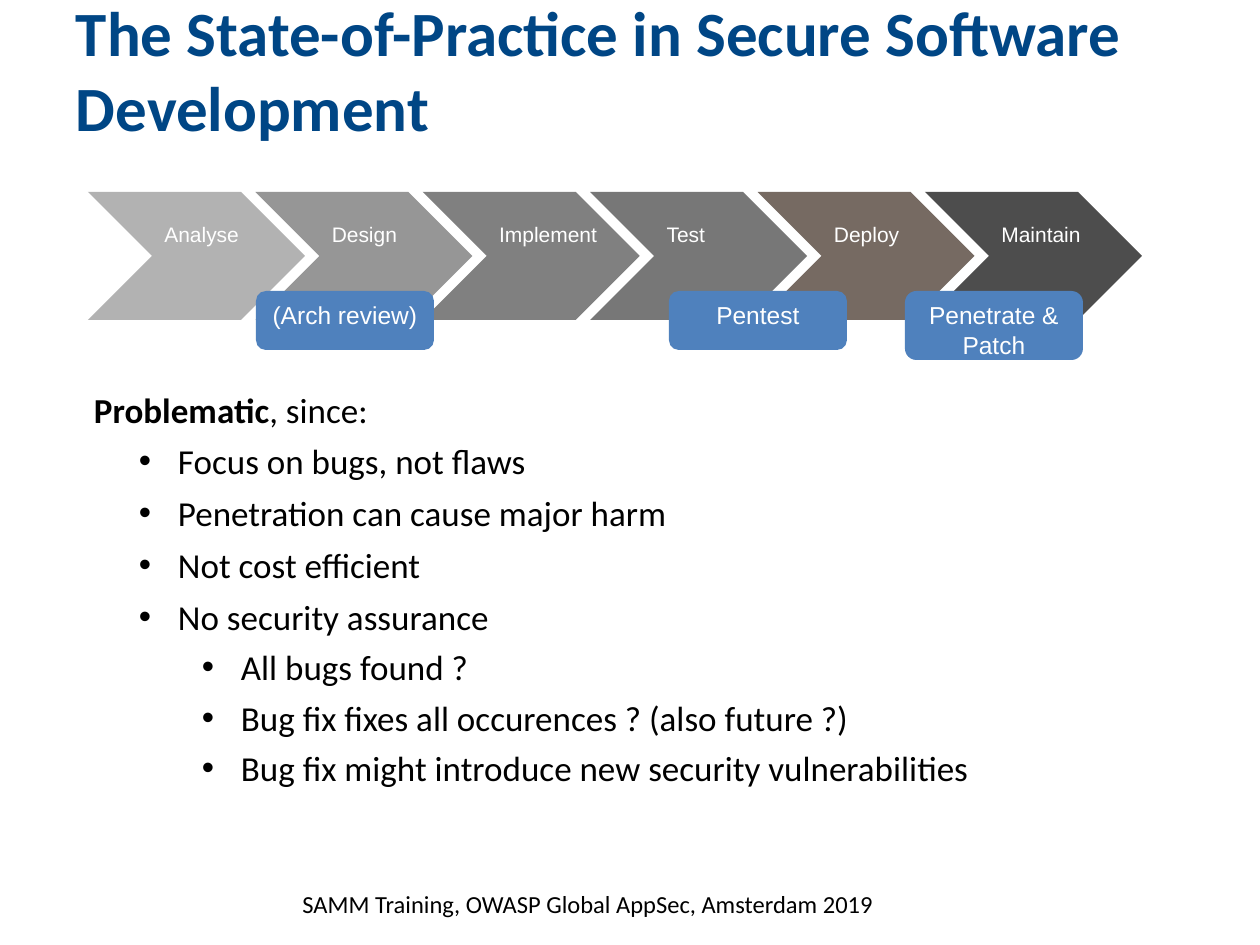
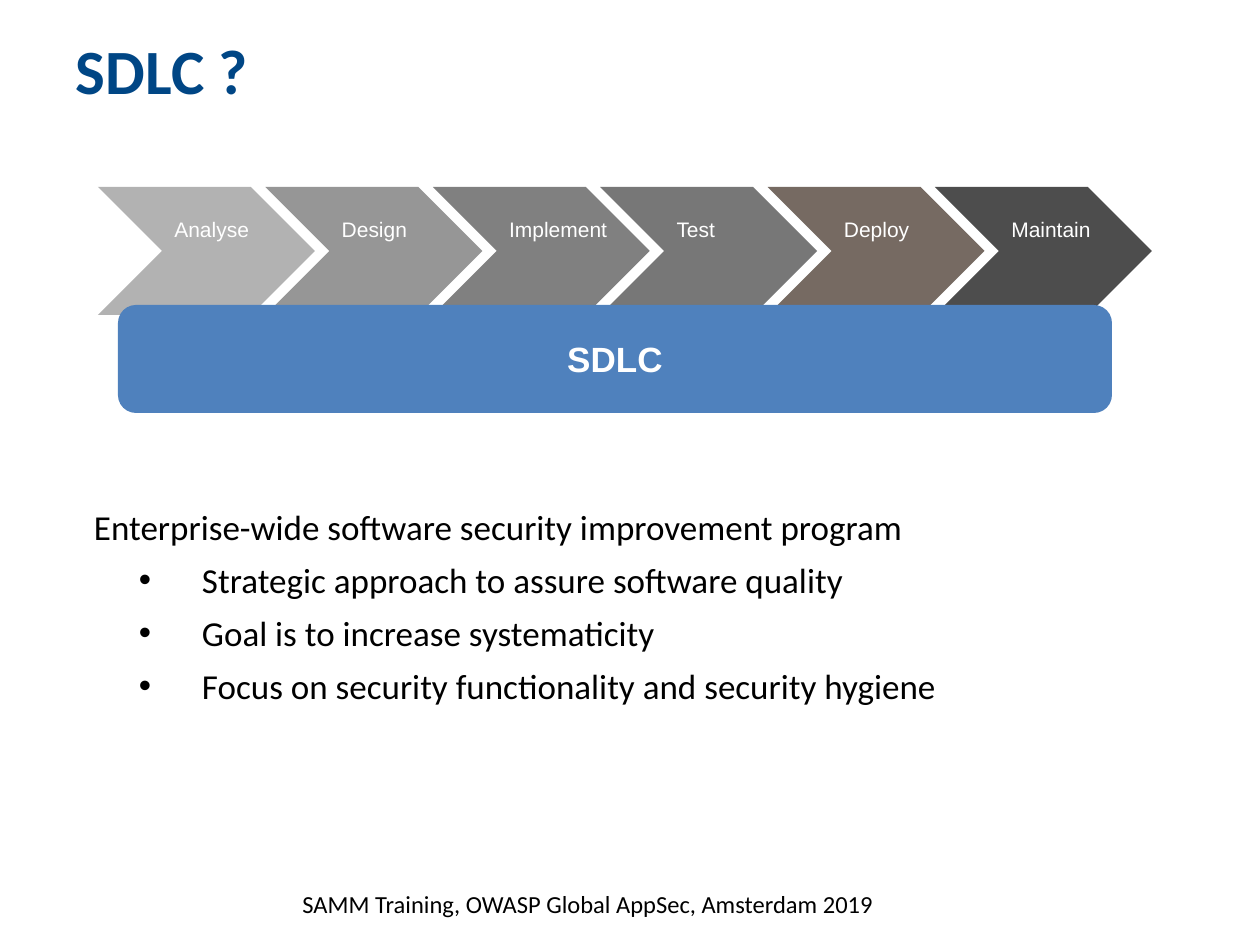
from lxml import etree
from pptx import Presentation
from pptx import util as u
from pptx.dml.color import RGBColor
from pptx.enum import shapes, text
from pptx.oxml.ns import qn

WHITE = RGBColor(0xFF, 0xFF, 0xFF)
BLACK = RGBColor(0x00, 0x00, 0x00)
NAVY = RGBColor(0x00, 0x46, 0x85)
BLUE = RGBColor(0x4F, 0x81, 0xBD)

PHASES = [
    ("Analyse", RGBColor(0xB2, 0xB2, 0xB2)),
    ("Design", RGBColor(0x96, 0x96, 0x96)),
    ("Implement", RGBColor(0x80, 0x80, 0x80)),
    ("Test", RGBColor(0x77, 0x77, 0x77)),
    ("Deploy", RGBColor(0x76, 0x6A, 0x62)),
    ("Maintain", RGBColor(0x4D, 0x4D, 0x4D)),
]
FOOTER = "SAMM Training, OWASP Global AppSec, Amsterdam 2019"

# Paragraph styles: left margin px, first-line indent px, space before pt
LEAD = (18, 0, 0)
BULLET = (102, -39, 5.6)
SUB_BULLET = (165, -39, 4.8)
WIDE_BULLET = (126, -63, 6.4)


def px(n):
    return u.Emu(round(n * 914400 / 126))


def style(p, font, size, color, bold=False, align=text.PP_ALIGN.LEFT):
    p.alignment = align
    for r in p.runs:
        r.font.name, r.font.size, r.font.bold = font, u.Pt(size), bold
        r.font.color.rgb = color


def text_box(s, box, anchor=text.MSO_ANCHOR.TOP):
    tf = s.shapes.add_textbox(*map(px, box)).text_frame
    tf.word_wrap = True
    tf.vertical_anchor = anchor
    tf.margin_left = tf.margin_right = tf.margin_top = tf.margin_bottom = px(13)
    return tf


def block(parent, kind, box, fill, label, size, top=6, bold=False,
          wrap=True, align=text.PP_ALIGN.CENTER):
    """Filled shape with a white label that starts `top` px below its edge."""
    sp = parent.shapes.add_shape(kind, *map(px, box))
    sp.shadow.inherit = False
    sp.fill.solid()
    sp.fill.fore_color.rgb = fill
    sp.line.fill.background()
    tf = sp.text_frame
    tf.text = label
    tf.word_wrap = wrap
    tf.vertical_anchor = text.MSO_ANCHOR.TOP
    tf.margin_top = px(top)
    style(tf.paragraphs[0], "Arial", size, WHITE, bold, align)


def title_and_footer(s, title):
    tf = text_box(s, (63, 38, 1134, 62), text.MSO_ANCHOR.MIDDLE)
    tf.text = title
    style(tf.paragraphs[0], "Calibri", 36, NAVY, bold=True)
    tf = text_box(s, (217, 876, 742, 50))
    tf.text = FOOTER
    style(tf.paragraphs[0], "Calibri", 14, BLACK, align=text.PP_ALIGN.CENTER)


def phase_chain(s, box):
    """Overlapping chevrons spread evenly over the box."""
    x, y, w, h = box
    chevron_w = 217
    pitch = (w - chevron_w) / (len(PHASES) - 1)
    group = s.shapes.add_group_shape()
    for i, (name, fill) in enumerate(PHASES):
        block(group, shapes.MSO_SHAPE.CHEVRON, (x + i * pitch, y, chevron_w, h),
              fill, name, 12, top=30, wrap=name == "Test",
              align=text.PP_ALIGN.LEFT)


def practice_tags(s, box):
    """Current practices, placed below the phases they belong to."""
    x, y, w, h = box
    group = s.shapes.add_group_shape()
    for label, dx, tag_h in [("(Arch review)", 0, 59), ("Pentest", 413, 59),
                             ("Penetrate & Patch", w - 178, h)]:
        block(group, shapes.MSO_SHAPE.ROUNDED_RECTANGLE,
              (x + dx, y, 178, tag_h), BLUE, label, 14)


def add_bullet(p):
    pPr = p._p.get_or_add_pPr()
    clr = etree.SubElement(pPr, qn("a:buClr"))
    etree.SubElement(clr, qn("a:srgbClr"), val=str(BLACK))
    etree.SubElement(pPr, qn("a:buFont"), typeface="Arial")
    etree.SubElement(pPr, qn("a:buChar"), char="•")


def body(s, box, items, bold_lead=""):
    tf = text_box(s, box)
    for i, (line, (margin, indent, before)) in enumerate(items):
        p = tf.paragraphs[0] if i == 0 else tf.add_paragraph()
        p.text = line
        pPr = p._p.get_or_add_pPr()
        pPr.set("marL", str(px(margin)))
        pPr.set("indent", str(px(indent)))
        if indent:
            add_bullet(p)
        p.space_before = u.Pt(before)
        style(p, "Calibri", 20, BLACK)
    # Bold opening words
    if bold_lead:
        p = tf.paragraphs[0]
        rest = p.text.removeprefix(bold_lead)
        p.runs[0].text = bold_lead
        p.add_run().text = rest
        style(p, "Calibri", 20, BLACK)
        p.runs[0].font.bold = True


def practice_slide(s):
    title_and_footer(s, "The State-of-Practice in Secure Software Development")
    body(s, (63, 375, 1134, 488), [
        ("Problematic, since:", LEAD),
        ("Focus on bugs, not flaws", BULLET),
        ("Penetration can cause major harm", BULLET),
        ("Not cost efficient", BULLET),
        ("No security assurance", BULLET),
        ("All bugs found ?", SUB_BULLET),
        ("Bug fix fixes all occurences ? (also future ?)", SUB_BULLET),
        ("Bug fix might introduce new security vulnerabilities", SUB_BULLET),
    ], bold_lead="Problematic")
    phase_chain(s, (88, 192, 1054, 128))
    practice_tags(s, (256, 291, 827, 69))


def sdlc_slide(s):
    title_and_footer(s, "SDLC ?")
    body(s, (63, 492, 1134, 371), [
        ("Enterprise-wide software security improvement program", LEAD),
        ("Strategic approach to assure software quality", WIDE_BULLET),
        ("Goal is to increase systematicity", WIDE_BULLET),
        ("Focus on security functionality and security hygiene", WIDE_BULLET),
    ])
    phase_chain(s, (98, 187, 1054, 128))
    # Bar spanning all phases
    block(s, shapes.MSO_SHAPE.ROUNDED_RECTANGLE, (118, 305, 994, 108),
          BLUE, "SDLC", 20, top=27, bold=True)


def main():
    prs = Presentation()
    prs.slide_width, prs.slide_height = px(1260), px(945)
    for build in (practice_slide, sdlc_slide):
        build(prs.slides.add_slide(prs.slide_layouts[6]))
    prs.save("out.pptx")


if __name__ == "__main__":
    main()
